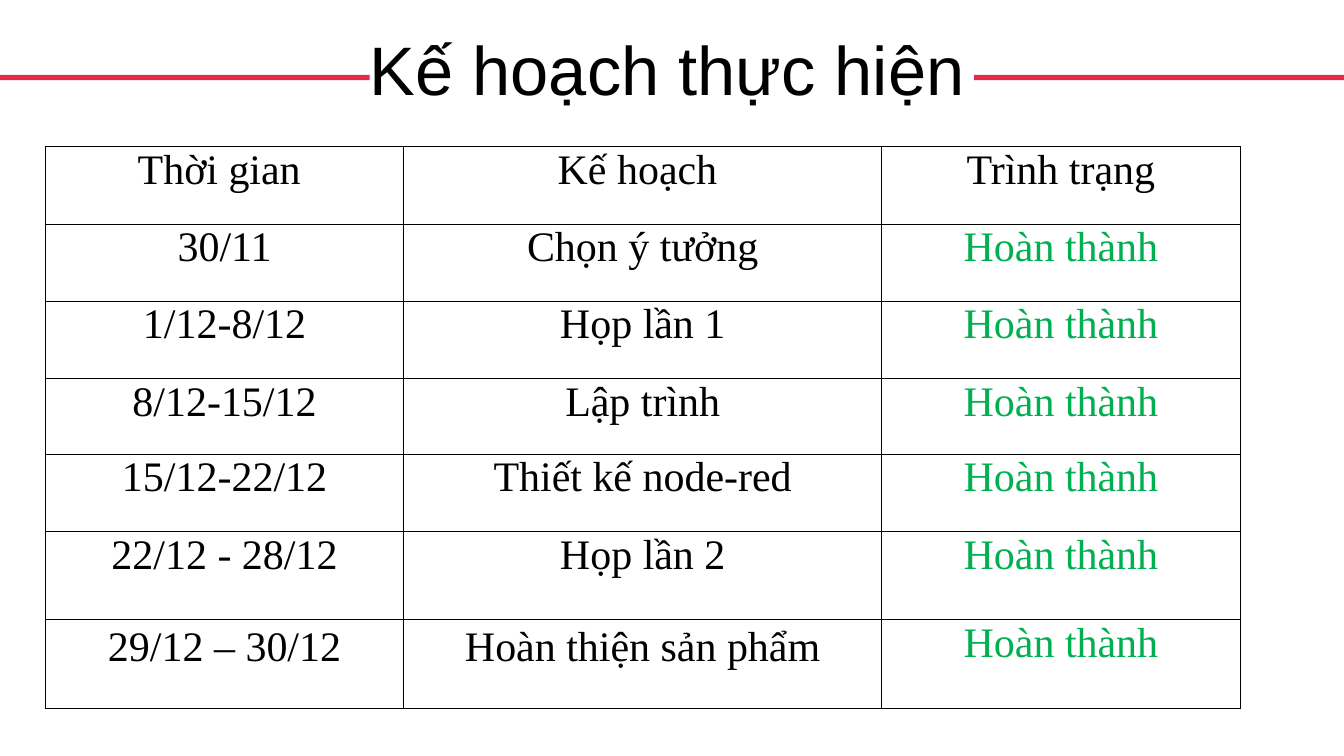
from typing import NamedTuple

from lxml.etree import SubElement
from pptx import Presentation
from pptx.dml.color import RGBColor
from pptx.enum.shapes import MSO_SHAPE
from pptx.enum.text import MSO_ANCHOR, PP_ALIGN
from pptx.oxml.ns import qn
from pptx.slide import Slide
from pptx.table import _Cell
from pptx.text.text import _Paragraph
from pptx.util import Cm, Pt

COLORS = {"text": "000000", "done": "00B050", "rule": "E62949", "border": "000000"}
SLIDE_WIDTH, SLIDE_HEIGHT = 33.87, 19.05
RULE_WIDTH = 9.32
COLUMN_WIDTHS = (9.04, 12.04, 9.04)
HEADINGS = ("Thời gian ", "Kế hoạch ", "Trình trạng")
HEADING_HEIGHT = 1.95
DONE = "Hoàn thành"


class Step(NamedTuple):
    period: str
    plan: str
    height: float
    line_spacing: float = 1.0


STEPS = (
    Step("30/11", "Chọn ý tưởng", 1.94),
    Step("1/12-8/12", "Họp lần 1", 1.95),
    Step("8/12-15/12", "Lập trình", 1.91),
    Step("15/12-22/12", "Thiết kế node-red", 1.95),
    Step("22/12 - 28/12", "Họp lần 2", 2.22),
    Step("29/12 – 30/12", "Hoàn thiện sản phẩm", 2.22, 1.08),
)


def format_paragraph(paragraph: _Paragraph, font: str, size: float, color: str,
                     line_spacing: float = 1.0) -> None:
    paragraph.alignment = PP_ALIGN.CENTER
    paragraph.line_spacing = line_spacing
    for run in paragraph.runs:
        run.font.name = font
        run.font.size = Pt(size)
        run.font.color.rgb = RGBColor.from_string(COLORS[color])


def add_rule(slide: Slide, left: float) -> None:
    """Draw one of the red bars beside the title."""
    rule = slide.shapes.add_shape(
        MSO_SHAPE.RECTANGLE, Cm(left), Cm(1.89), Cm(RULE_WIDTH), Cm(0.13))
    rule.shadow.inherit = False
    rule.fill.solid()
    rule.fill.fore_color.rgb = RGBColor.from_string(COLORS["rule"])
    rule.line.fill.background()


def add_title(slide: Slide, wording: str) -> None:
    title = slide.shapes.add_textbox(Cm(0.9), Cm(0.78), Cm(31.83), Cm(2.14))
    frame = title.text_frame
    frame.word_wrap = True
    frame.vertical_anchor = MSO_ANCHOR.MIDDLE
    frame.text = wording
    format_paragraph(frame.paragraphs[0], "Arial", 49, "text", 0.9)


def add_borders(cell: _Cell) -> None:
    properties = cell._tc.get_or_add_tcPr()
    for side in ("a:lnL", "a:lnR", "a:lnT", "a:lnB"):
        border = SubElement(properties, qn(side), w=str(Pt(0.75)))
        fill = SubElement(border, qn("a:solidFill"))
        SubElement(fill, qn("a:srgbClr"), val=COLORS["border"])


def fill_cell(cell: _Cell, wording: str, color: str, line_spacing: float) -> None:
    cell.margin_left = cell.margin_right = Cm(0.19)
    cell.margin_top = cell.margin_bottom = Cm(0)
    add_borders(cell)
    cell.fill.background()
    cell.text_frame.text = wording
    format_paragraph(cell.text_frame.paragraphs[0], "Times New Roman", 30, color,
                     line_spacing)


def add_schedule(slide: Slide) -> None:
    heights = [HEADING_HEIGHT] + [step.height for step in STEPS]
    schedule = slide.shapes.add_table(
        len(heights), len(HEADINGS), Cm(1.14), Cm(3.7),
        Cm(sum(COLUMN_WIDTHS)), Cm(sum(heights))).table
    schedule.first_row = schedule.horz_banding = False
    for column, width in zip(schedule.columns, COLUMN_WIDTHS):
        column.width = Cm(width)
    for row, height in zip(schedule.rows, heights):
        row.height = Cm(height)
    for column, heading in enumerate(HEADINGS):
        fill_cell(schedule.cell(0, column), heading, "text", 1.0)
    for row, step in enumerate(STEPS, start=1):
        fill_cell(schedule.cell(row, 0), step.period, "text", step.line_spacing)
        fill_cell(schedule.cell(row, 1), step.plan, "text", step.line_spacing)
        fill_cell(schedule.cell(row, 2), DONE, "done", 1.0)


def main() -> None:
    presentation = Presentation()
    presentation.slide_width = Cm(SLIDE_WIDTH)
    presentation.slide_height = Cm(SLIDE_HEIGHT)
    slide = presentation.slides.add_slide(presentation.slide_layouts[6])
    for left in (0, SLIDE_WIDTH - RULE_WIDTH):
        add_rule(slide, left)
    add_title(slide, "Kế hoạch thực hiện")
    add_schedule(slide)
    presentation.save("out.pptx")


if __name__ == "__main__":
    main()
